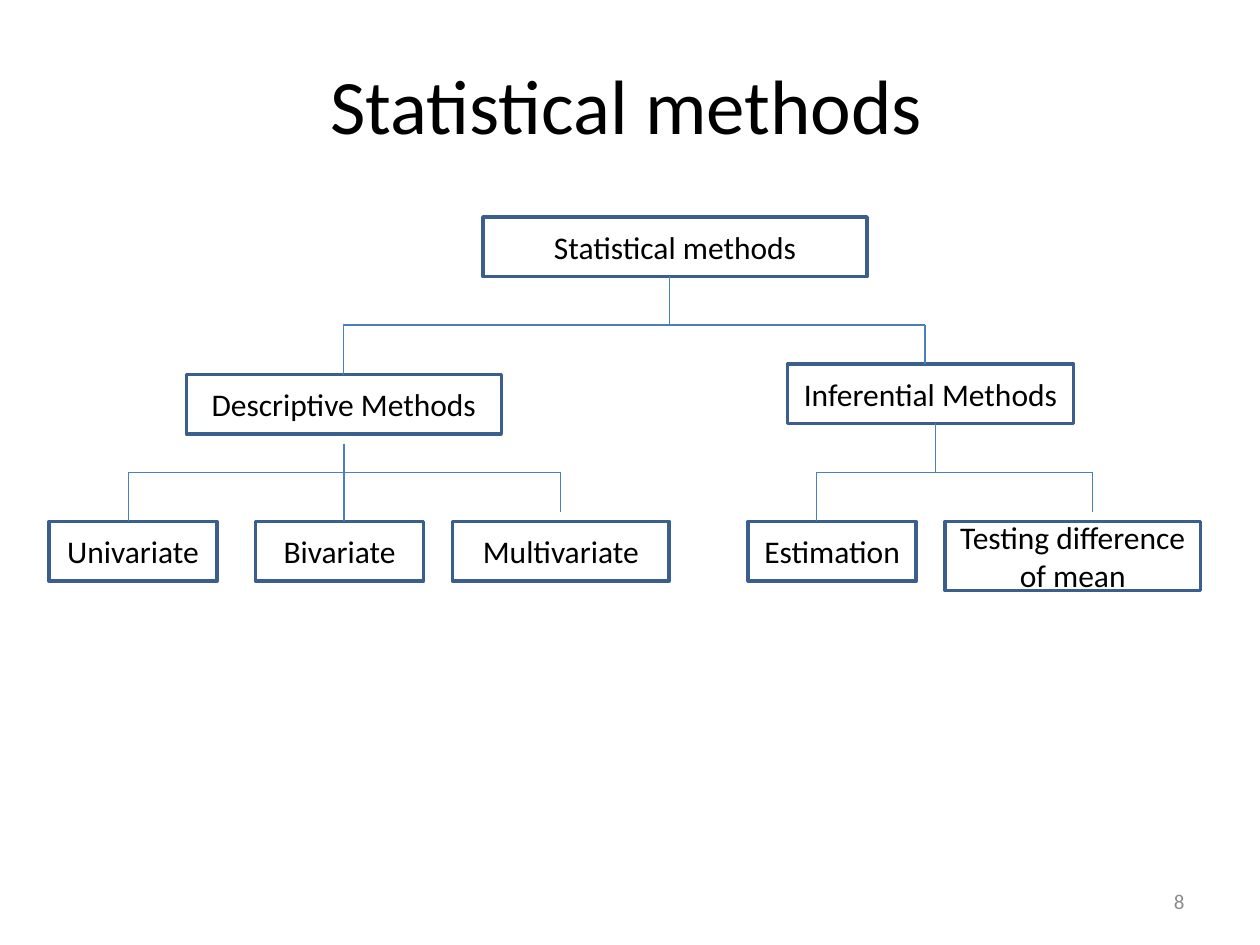
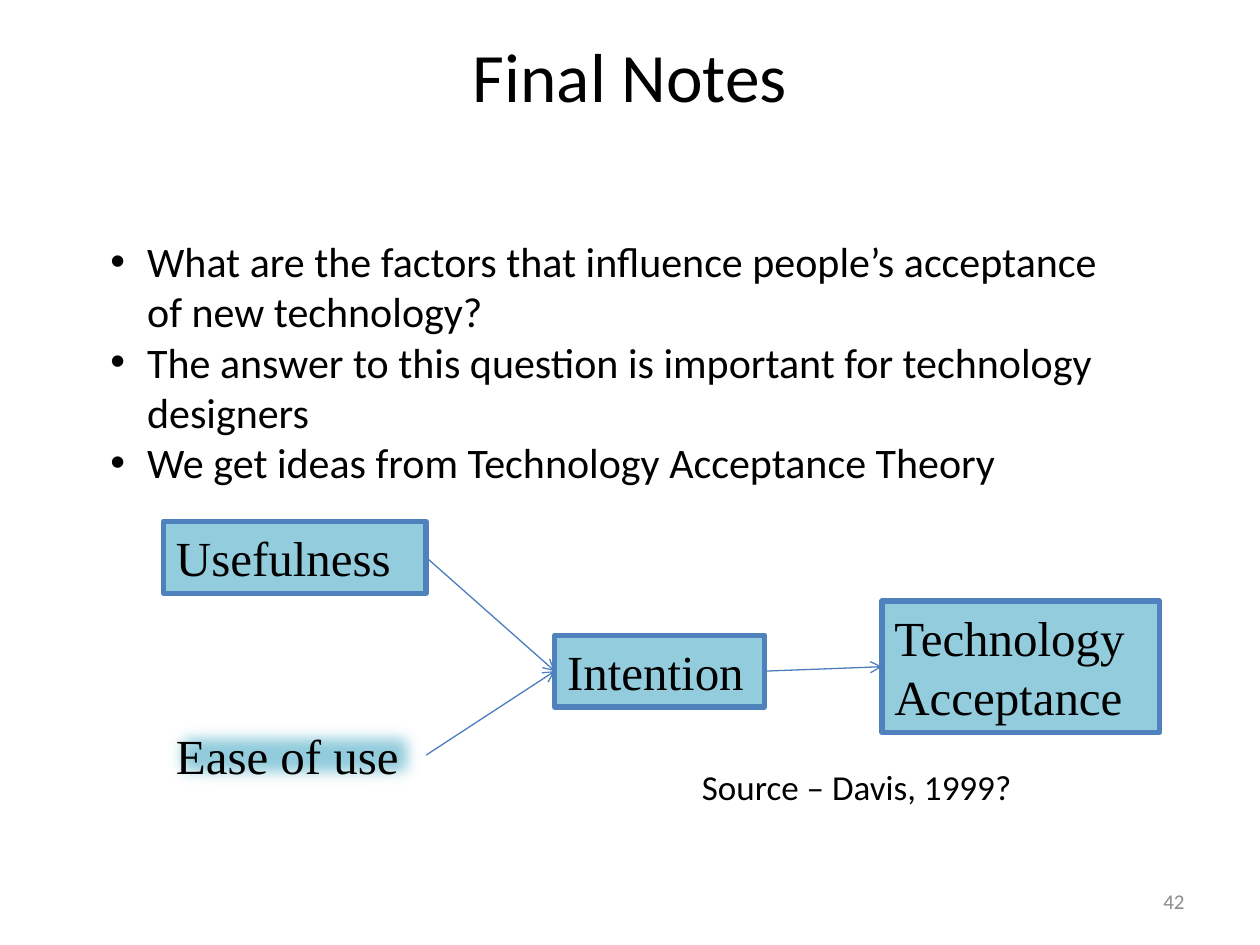
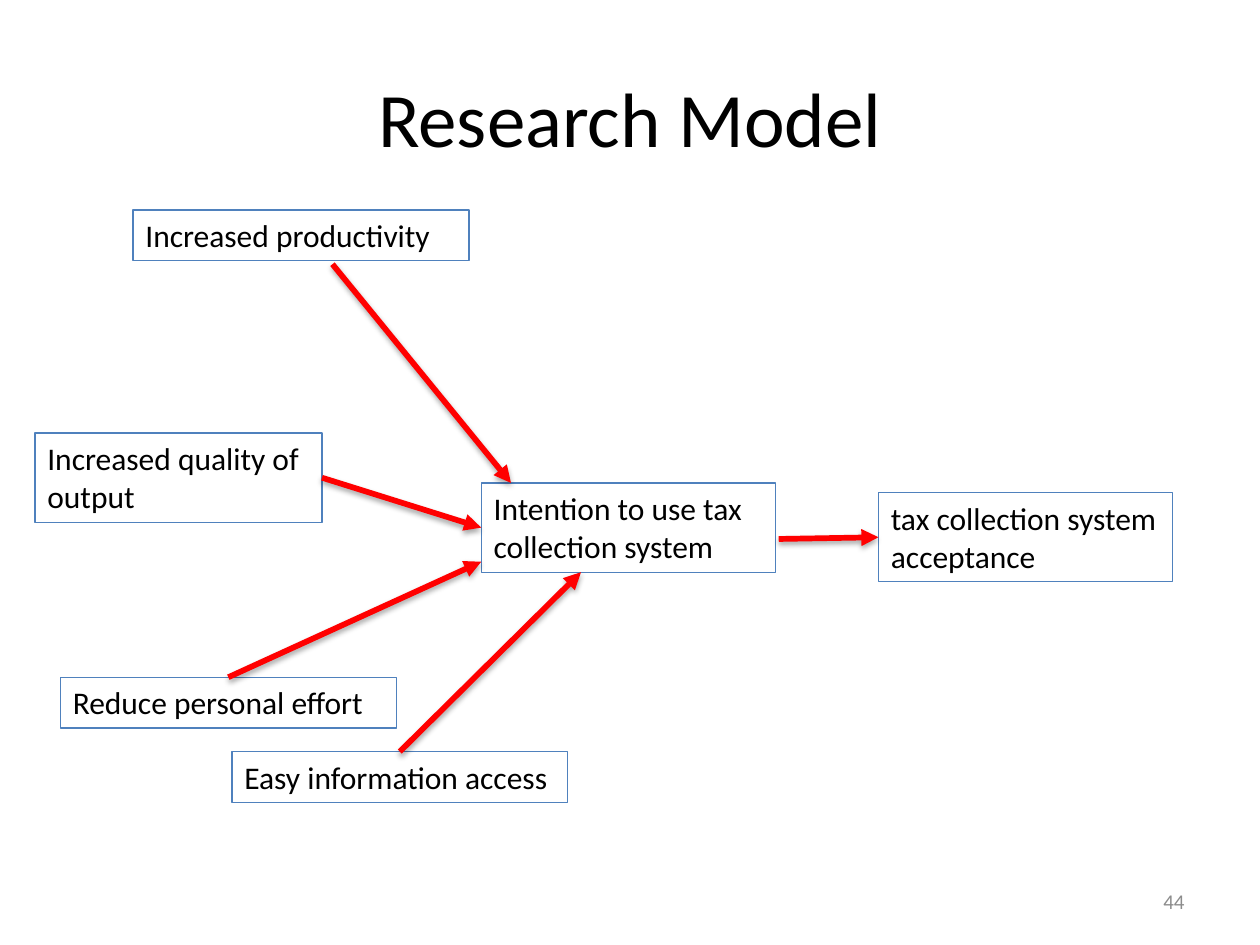
import pptx
import pptx.util
import pptx.dml.color
import pptx.enum.shapes
import pptx.enum.text
import pptx.oxml
import pptx.oxml.ns
import lxml.etree

Pt = pptx.util.Pt
ALIGN = pptx.enum.text.PP_ALIGN
ANCHOR = pptx.enum.text.MSO_ANCHOR
CONNECTOR = pptx.enum.shapes.MSO_CONNECTOR
qn = pptx.oxml.ns.qn

BLACK, GREY, RED = "000000", "8C8C8C", "FF0000"
BLUE, DARK_BLUE, LINE_BLUE, AQUA = "4F81BD", "3A5F8C", "4B7EBC", "93CDDD"
SHADOW = (
    '<a:outerShdw xmlns:a="http://schemas.openxmlformats.org/drawingml/2006/main" '
    'blurRad="40000" dist="23000" dir="5400000" rotWithShape="0">'
    '<a:srgbClr val="000000"><a:alpha val="35000"/></a:srgbClr></a:outerShdw>'
)


def color(value):
    return pptx.dml.color.RGBColor.from_string(value)


def write(shape, lines, size, font="Calibri", ink=BLACK, align=ALIGN.LEFT, anchor=ANCHOR.TOP):
    frame = shape.text_frame
    frame.word_wrap = True
    frame.vertical_anchor = anchor
    frame.text = "\n".join(lines)
    for para in frame.paragraphs:
        para.alignment = align
        for span in para.runs:
            span.font.size = Pt(size)
            span.font.name = font
            span.font.color.rgb = color(ink)


# Levels and columns of the methods tree
upper_bus, lower_bus, leaf_top = 185.75, 270, 298
descriptive_x, inferential_x = 196.5, 528.5

# Boxes are name: (left, top, width, height); a line end is (x, y) or (box name, side)
slides = [
    {
        "title": "Statistical methods", "place": (34, 22.5, 648, 73.5), "size": 44, "number": "8",
        "box": {"fill": None, "line": DARK_BLUE, "width": 2},
        "text": {"size": 18, "align": ALIGN.CENTER, "anchor": ANCHOR.MIDDLE},
        "boxes": {
            "Statistical methods": (276, 124, 219.5, 34),
            "Descriptive Methods": (106.5, 214, 180, 34),
            "Inferential Methods": (450, 208, 163.5, 34),
            "Univariate": (28, leaf_top, 96, 34),
            "Bivariate": (146, leaf_top, 96, 34),
            "Multivariate": (258.5, leaf_top, 124, 34),
            "Estimation": (427.5, leaf_top, 96, 34),
            "Testing difference of mean": (540, leaf_top, 146, 39.5),
        },
        "stroke": {"ink": LINE_BLUE, "width": 0.75, "head": None, "shadow": False},
        "elbows": [
            ((inferential_x, upper_bus), (descriptive_x, 214)),
            ((320.5, lower_bus), (73.5, leaf_top)),
            ((624.5, lower_bus), (466.5, leaf_top)),
        ],
        "lines": [
            ((382.5, 158), (382.5, upper_bus)),
            ((inferential_x, upper_bus), (inferential_x, 208)),
            ((descriptive_x, 253.5), (descriptive_x, leaf_top)),
            ((320.5, lower_bus), (320.5, 292.5)),
            ((534.5, 242), (534.5, lower_bus)),
            ((624.5, lower_bus), (624.5, 292.5)),
        ],
    },
    {
        "title": "Final Notes", "place": (36, 21.5, 648, 90), "size": 39.6, "number": "42",
        "box": {"fill": AQUA, "line": BLUE, "width": 3},
        "text": {"size": 28, "font": "Times New Roman"},
        "boxes": {
            "Usefulness": (93.5, 298, 150, 41),
            "Ease of use": (93.5, 411, 150, 41),
            "Intention": (317, 363, 120, 41),
            "Technology Acceptance": (504, 343.5, 158.5, 75),
        },
        "stroke": {"ink": LINE_BLUE, "width": 0.75, "head": "arrow", "shadow": False},
        "elbows": [],
        "lines": [
            (("Usefulness", 3), ("Intention", 1)),
            (("Ease of use", 3), ("Intention", 1)),
            (("Intention", 3), ("Technology Acceptance", 1)),
        ],
    },
    {
        "title": "Research Model", "place": (36, 21.5, 648, 90), "size": 44, "number": "44",
        "box": {"fill": None, "line": BLUE, "width": 0.75},
        "text": {"size": 18},
        "boxes": {
            "Increased productivity": (76, 120, 192, 29),
            "Increased quality of output": (20, 247.5, 164, 51),
            "tax collection system acceptance": (502, 281.5, 168, 51),
            "Intention to use tax collection system": (275, 276, 168, 51),
            "Reduce personal effort": (34.5, 387, 192, 29),
            "Easy information access": (132.5, 429.5, 192, 29),
        },
        "stroke": {"ink": RED, "width": 3.25, "head": "triangle", "shadow": True},
        "elbows": [],
        "lines": [
            ((445, 308), ("tax collection system acceptance", 1)),
            (("Increased quality of output", 3), ("Intention to use tax collection system", 1)),
            ((190, 151), (292, 276)),
            (("Reduce personal effort", 0), (275, 321)),
            (("Easy information access", 0), (332, 327)),
        ],
    },
]

deck = pptx.Presentation()
deck.slide_width, deck.slide_height = Pt(720), Pt(540)
pages = []

for content in slides:
    page = deck.slides.add_slide(deck.slide_layouts[5])
    pages.append(page)

    # Title and page number
    title = page.shapes.title
    title.left, title.top, title.width, title.height = map(Pt, content["place"])
    write(title, [content["title"]], content["size"], align=ALIGN.CENTER, anchor=ANCHOR.MIDDLE)
    number = page.shapes.add_textbox(Pt(516), Pt(500.5), Pt(168), Pt(28.75))
    write(number, [content["number"]], 12, ink=GREY, align=ALIGN.RIGHT, anchor=ANCHOR.MIDDLE)

    # Boxes
    boxes = {}
    style = content["box"]
    for name, place in content["boxes"].items():
        box = page.shapes.add_shape(pptx.enum.shapes.MSO_SHAPE.RECTANGLE, *map(Pt, place))
        box.shadow.inherit = False
        if style["fill"]:
            box.fill.solid()
            box.fill.fore_color.rgb = color(style["fill"])
        else:
            box.fill.background()
        box.line.color.rgb = color(style["line"])
        box.line.width = Pt(style["width"])
        write(box, [name], **content["text"])
        boxes[name] = box

    # Connectors
    stroke = content["stroke"]
    routes = [(CONNECTOR.ELBOW, ends) for ends in content["elbows"]]
    routes += [(CONNECTOR.STRAIGHT, ends) for ends in content["lines"]]
    for kind, (start, end) in routes:
        points = [(0, 0) if point[0] in boxes else point for point in (start, end)]
        connector = page.shapes.add_connector(kind, *map(Pt, points[0] + points[1]))
        if start[0] in boxes:
            connector.begin_connect(boxes[start[0]], start[1])
        if end[0] in boxes:
            connector.end_connect(boxes[end[0]], end[1])
        connector.line.color.rgb = color(stroke["ink"])
        connector.line.width = Pt(stroke["width"])
        properties = connector._element.spPr
        if kind == CONNECTOR.ELBOW:
            properties.find(qn("a:prstGeom")).set("prst", "bentConnector2")
        if stroke["head"]:
            line = properties.find(qn("a:ln"))
            lxml.etree.SubElement(line, qn("a:tailEnd"), type=stroke["head"])
        effects = lxml.etree.SubElement(properties, qn("a:effectLst"))
        if stroke["shadow"]:
            effects.append(pptx.oxml.parse_xml(SHADOW))

# Final notes: raised title, soft-edged box, source and bullets
notes = pages[1]
notes.shapes.title.text_frame.margin_top = Pt(0)
notes.shapes.title.text_frame.margin_bottom = Pt(48)
for shape in notes.shapes:
    if shape.text_frame.text == "Ease of use" if shape.has_text_frame else False:
        effects = shape._element.spPr.find(qn("a:effectLst"))
        lxml.etree.SubElement(effects, qn("a:softEdge"), rad="127000")

source = notes.shapes.add_textbox(Pt(394), Pt(434), Pt(258), Pt(31.5))
write(source, ["Source – Davis, 1999?"], 20)

questions = notes.shapes.add_textbox(Pt(56), Pt(131), Pt(596), Pt(152.5))
write(questions, [
    "What are the factors that influence people’s acceptance of new technology?",
    "The answer to this question is important for technology designers",
    "We get ideas from Technology Acceptance Theory",
], 24)
for para in questions.text_frame.paragraphs:
    settings = para._p.get_or_add_pPr()
    settings.set("marL", str(Pt(21)))
    settings.set("indent", str(-Pt(21)))
    lxml.etree.SubElement(settings, qn("a:buFont"), typeface="Arial")
    lxml.etree.SubElement(settings, qn("a:buChar"), char="•")

deck.save("out.pptx")
